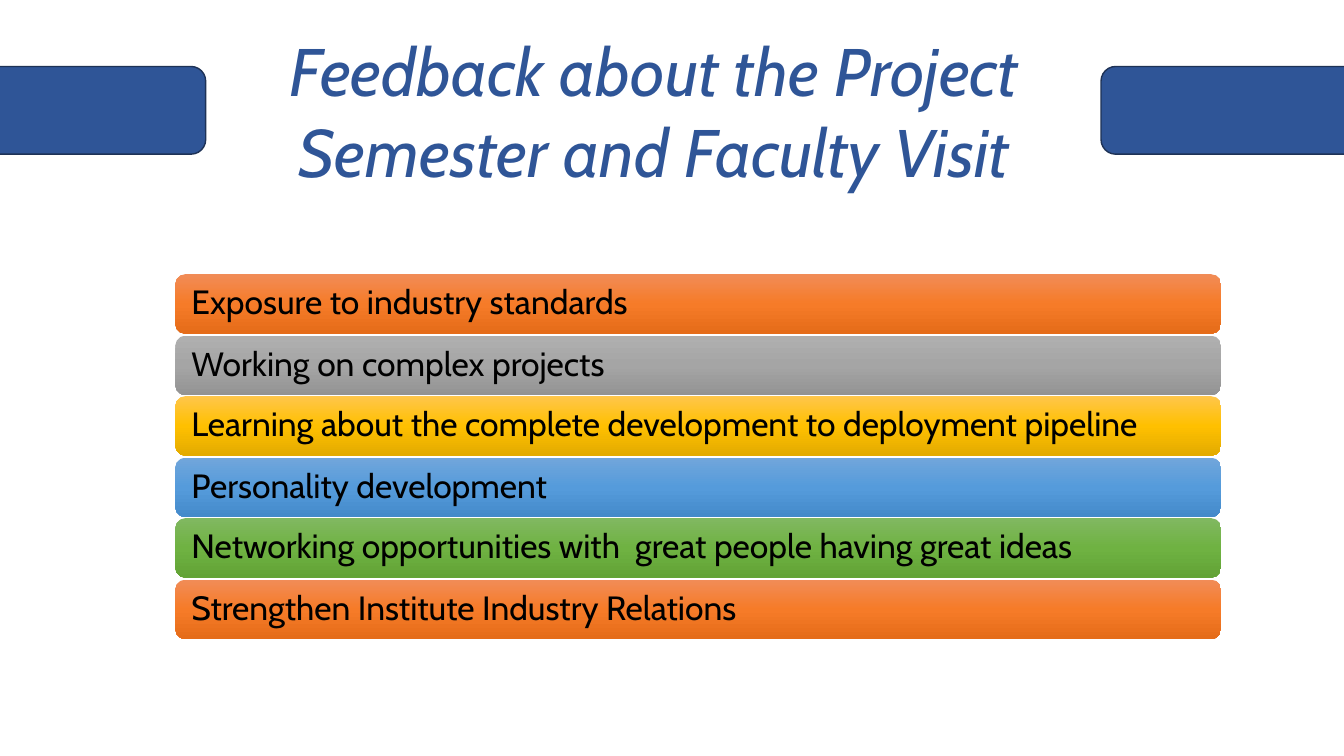
"""Build the slide on feedback about the project semester and faculty visit."""
import copy

import pptx
import pptx.dml.color
import pptx.enum.shapes
import pptx.enum.text
import pptx.oxml.ns
import pptx.util

FONT = "Cabin"
NAVY = "2F5597"
NAVY_EDGE = "1E3256"
BLACK = "000000"
ORANGE = ("F18C57", "F67B28", "E56C19")
GREY = ("AFAFAF", "A5A5A5", "939393")
GOLD = ("FFC64B", "FFC000", "E3AB00")
BLUE = ("71A6DB", "559BDB", "448ACA")
GREEN = ("81B861", "6FB242", "62A336")

FEEDBACK = [
    ("Exposure to industry standards", ORANGE),
    ("Working on complex projects", GREY),
    ("Learning about the complete development to deployment pipeline", GOLD),
    ("Personality development", BLUE),
    ("Networking opportunities with  great people having great ideas", GREEN),
    ("Strengthen Institute Industry Relations", ORANGE),
]
FIRST_BAR_TOP = 272
LAST_BAR_TOP = 575


def px(length):
    return pptx.util.Emu(length * 9144)


def color(code):
    return pptx.dml.color.RGBColor.from_string(code)


class SlideBuilder:
    def __init__(self, presentation):
        self.slide = presentation.slides.add_slide(presentation.slide_layouts[5])

    def format_runs(self, paragraph, size, code, italic=False):
        for run in paragraph.runs:
            run.font.name = FONT
            run.font.size = pptx.util.Pt(size)
            run.font.italic = italic
            run.font.color.rgb = color(code)

    def title(self, text, left, top, width, height):
        shape = self.slide.shapes.title
        shape.left, shape.top = px(left), px(top)
        shape.width, shape.height = px(width), px(height)
        frame = shape.text_frame
        frame.text = text
        frame.word_wrap = True
        frame.auto_size = pptx.enum.text.MSO_AUTO_SIZE.NONE
        frame.vertical_anchor = pptx.enum.text.MSO_ANCHOR.TOP
        paragraph = frame.paragraphs[0]
        paragraph.alignment = pptx.enum.text.PP_ALIGN.CENTER
        paragraph.line_spacing = 1.0
        self.format_runs(paragraph, 48, NAVY, italic=True)

    def rounded_box(self, left, top, width, height):
        shape = self.slide.shapes.add_shape(
            pptx.enum.shapes.MSO_SHAPE.ROUNDED_RECTANGLE,
            px(left), px(top), px(width), px(height))
        shape.shadow.inherit = False
        return shape

    def side_tab(self, left, top, width, height):
        shape = self.rounded_box(left, top, width, height)
        shape.fill.solid()
        shape.fill.fore_color.rgb = color(NAVY)
        shape.line.color.rgb = color(NAVY_EDGE)
        shape.line.width = pptx.util.Pt(1)

    def gradient(self, shape, codes):
        shape.fill.gradient()
        shape.fill.gradient_angle = 270
        stop_list = shape.element.find(".//" + pptx.oxml.ns.qn("a:gsLst"))
        stop_list.append(copy.deepcopy(stop_list[-1]))
        for stop, code, position in zip(shape.fill.gradient_stops, codes, (0, 0.5, 1)):
            stop.color.rgb = color(code)
            stop.position = position

    def bar(self, text, codes, left, top, width, height):
        shape = self.rounded_box(left, top, width, height)
        self.gradient(shape, codes)
        shape.line.fill.background()
        frame = shape.text_frame
        frame.text = text
        frame.word_wrap = True
        frame.margin_left = frame.margin_right = px(13)
        frame.vertical_anchor = pptx.enum.text.MSO_ANCHOR.MIDDLE
        paragraph = frame.paragraphs[0]
        paragraph.alignment = pptx.enum.text.PP_ALIGN.LEFT
        paragraph.line_spacing = 0.9
        self.format_runs(paragraph, 24, BLACK)


def main():
    presentation = pptx.Presentation()
    presentation.slide_width, presentation.slide_height = px(1333), px(750)
    builder = SlideBuilder(presentation)
    builder.title("Feedback about the Project Semester and Faculty Visit", 194, 24, 909, 172)
    bar_pitch = (LAST_BAR_TOP - FIRST_BAR_TOP) / (len(FEEDBACK) - 1)
    for index, (text, codes) in enumerate(FEEDBACK):
        builder.bar(text, codes, 174, FIRST_BAR_TOP + round(index * bar_pitch), 1037, 59)
    for left in (-338, 1092):
        builder.side_tab(left, 66, 542, 87)
    presentation.save("out.pptx")


if __name__ == "__main__":
    main()
